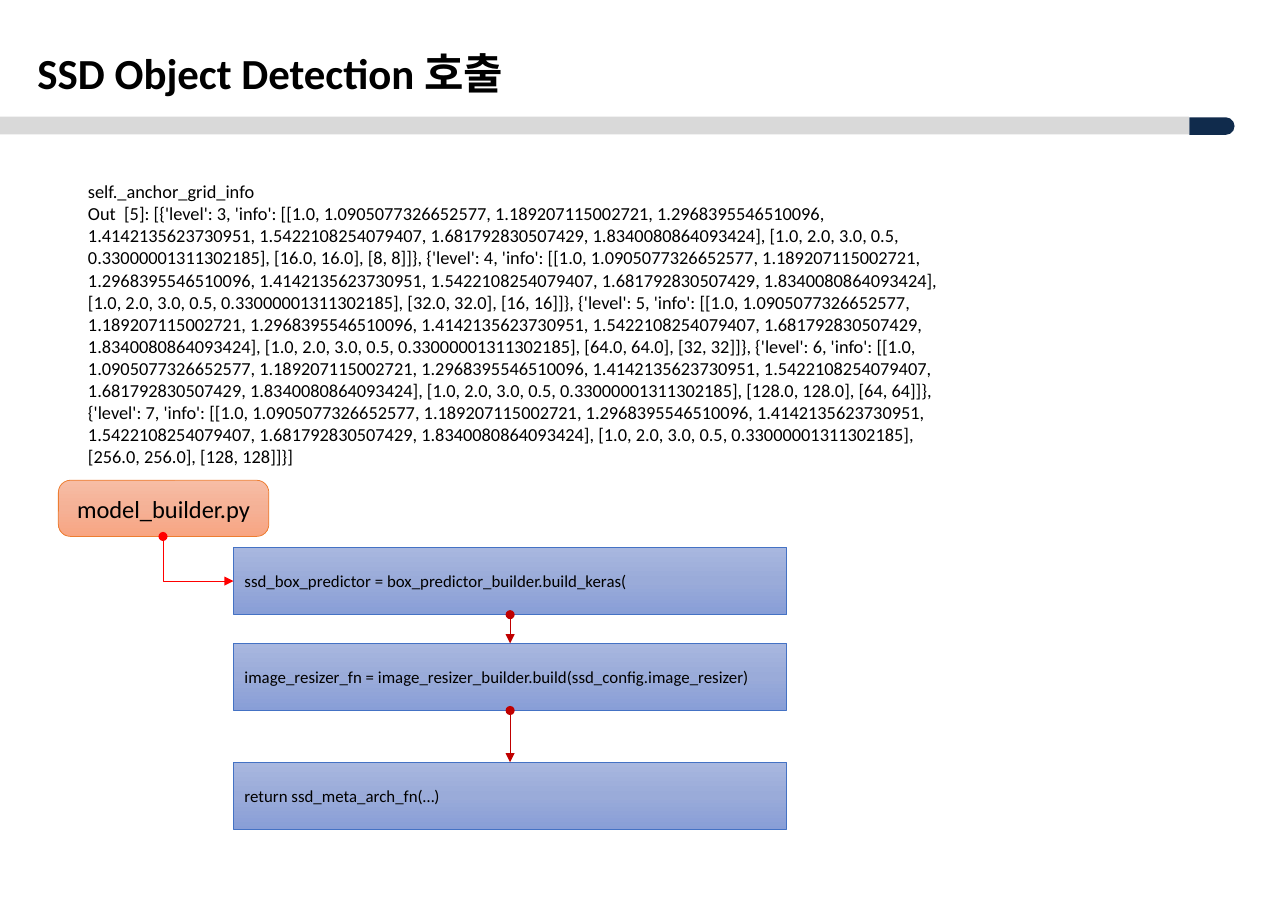
from copy import deepcopy
from dataclasses import dataclass
from itertools import pairwise

from pptx import Presentation
from pptx.dml.color import RGBColor
from pptx.enum.shapes import MSO_CONNECTOR as Connector, MSO_SHAPE as Shape
from pptx.enum.text import MSO_ANCHOR as Anchor, MSO_AUTO_SIZE as AutoSize, PP_ALIGN as Align
from pptx.oxml.ns import qn
from pptx.util import Inches, Pt


@dataclass(frozen=True)
class Theme:
    font: str = "Calibri"
    text: str = "000000"
    bar: str = "D9D9D9"
    bar_end: str = "102B4C"
    file_fill: tuple = ("F7BDA5", "F5B196", "F8A582")
    file_line: str = "ED7D31"
    step_fill: tuple = ("A8B7DF", "9AABD9", "889ED7")
    step_line: str = "4472C4"
    entry_arrow: str = "FF0000"
    step_arrow: str = "C00000"
    line_width: float = 0.5
    title_size: int = 28
    file_size: int = 16
    output_size: int = 12
    step_size: int = 11


def color(value):
    return RGBColor.from_string(value)


def format_text(frame, text, *, size, font, fill, bold=False, align=Align.LEFT,
                anchor=Anchor.TOP, wrap=True, auto_size=AutoSize.NONE):
    """Fill a text frame, one paragraph per line of text."""
    frame.text = text
    frame.word_wrap = wrap
    frame.auto_size = auto_size
    frame.vertical_anchor = anchor
    for paragraph in frame.paragraphs:
        paragraph.alignment = align
        paragraph.font.size = Pt(size)
        paragraph.font.name = font
        paragraph.font.bold = bold
        paragraph.font.color.rgb = color(fill)


class SlideBuilder:
    def __init__(self, slide, theme):
        self.slide = slide
        self.theme = theme

    def set_text(self, shape, text, size, **options):
        format_text(shape.text_frame, text, size=size, font=self.theme.font,
                    fill=self.theme.text, **options)

    def title(self, text, left, top, width, height):
        title = self.slide.shapes.title
        title.left, title.top = Inches(left), Inches(top)
        title.width, title.height = Inches(width), Inches(height)
        self.set_text(title, text, self.theme.title_size, bold=True, wrap=False,
                      auto_size=AutoSize.SHAPE_TO_FIT_TEXT)

    def text_box(self, text, left, top, width, height):
        box = self.slide.shapes.add_textbox(
            Inches(left), Inches(top), Inches(width), Inches(height))
        self.set_text(box, text, self.theme.output_size,
                      auto_size=AutoSize.SHAPE_TO_FIT_TEXT)

    def shape(self, kind, left, top, width, height):
        shape = self.slide.shapes.add_shape(
            kind, Inches(left), Inches(top), Inches(width), Inches(height))
        shape.shadow.inherit = False
        return shape

    def bar(self, kind, fill, left, top, width, height):
        bar = self.shape(kind, left, top, width, height)
        bar.fill.solid()
        bar.fill.fore_color.rgb = color(fill)
        bar.line.fill.background()
        return bar

    def box(self, kind, text, fills, line, size, left, top, width, height, align=Align.LEFT):
        box = self.shape(kind, left, top, width, height)
        box.fill.gradient()
        box.fill.gradient_angle = 270
        stops = box.element.spPr.find(qn("a:gradFill")).find(qn("a:gsLst"))
        stops.insert(1, deepcopy(stops[0]))
        for index, (stop, fill) in enumerate(zip(box.fill.gradient_stops, fills)):
            stop.position = index / 2
            stop.color.rgb = color(fill)
        box.line.color.rgb = color(line)
        box.line.width = Pt(self.theme.line_width)
        self.set_text(box, text, size, align=align, anchor=Anchor.MIDDLE)
        return box

    def connector(self, kind, line, left, top, right, bottom):
        connector = self.slide.shapes.add_connector(
            kind, Inches(left), Inches(top), Inches(right), Inches(bottom))
        connector.line.color.rgb = color(line)
        connector.line.width = Pt(self.theme.line_width)
        properties = connector.element.spPr
        outline = properties.find(qn("a:ln"))
        for end, style in (("a:headEnd", "oval"), ("a:tailEnd", "triangle")):
            outline.append(outline.makeelement(qn(end), {"type": style}))
        properties.append(properties.makeelement(qn("a:effectLst"), {}))
        return connector

    def down_arrow(self, upper, lower):
        arrow = self.connector(Connector.STRAIGHT, self.theme.step_arrow, 0, 0, 0, 0)
        arrow.begin_connect(upper, 2)
        arrow.end_connect(lower, 0)

    def corner_arrow(self, left, top, right, bottom):
        """Go down, then right: a one-bend connector turned by 270 degrees."""
        center_x, center_y = (left + right) / 2, (top + bottom) / 2
        half_width, half_height = (bottom - top) / 2, (right - left) / 2
        arrow = self.connector(
            Connector.ELBOW, self.theme.entry_arrow,
            center_x - half_width, center_y - half_height,
            center_x + half_width, center_y + half_height)
        properties = arrow.element.spPr
        properties.find(qn("a:prstGeom")).set("prst", "bentConnector2")
        transform = properties.find(qn("a:xfrm"))
        transform.set("rot", "16200000")
        transform.set("flipH", "1")


def anchor_grid_text():
    scales = [1.0, 1.0905077326652577, 1.189207115002721, 1.2968395546510096,
              1.4142135623730951, 1.5422108254079407, 1.681792830507429, 1.8340080864093424]
    ratios = [1.0, 2.0, 3.0, 0.5, 0.33000001311302185]
    grid = [{"level": level,
             "info": [scales, ratios, [2.0 ** (level + 1)] * 2, [2 ** level] * 2]}
            for level in range(3, 8)]
    return f"self._anchor_grid_info\nOut  [5]: {grid}"


def main():
    presentation = Presentation()
    presentation.slide_width, presentation.slide_height = Inches(11.69), Inches(8.27)
    theme = Theme()
    slide = presentation.slides.add_slide(presentation.slide_layouts[5])
    builder = SlideBuilder(slide, theme)

    # Header
    builder.bar(Shape.RECTANGLE, theme.bar, 0, 1.06, 10.79, 0.16)
    bar_end = builder.bar(Shape.ROUND_2_SAME_RECTANGLE, theme.bar_end, 10.92, 0.94, 0.16, 0.41)
    bar_end.rotation = 90
    bar_end.adjustments[0] = 0.5
    builder.title("SSD Object Detection 호출", 0.24, 0.37, 4.54, 0.57)

    # Console output
    builder.text_box(anchor_grid_text(), 0.7, 1.59, 8.15, 2.73)

    # Source file
    source_file = builder.box(
        Shape.ROUNDED_RECTANGLE, "model_builder.py", theme.file_fill, theme.file_line,
        theme.file_size, 0.53, 4.36, 1.91, 0.51, Align.CENTER)
    source_file.adjustments[0] = 0.216

    # Build steps
    step_left, step_height = 2.12, 0.61
    calls = (
        (4.97, "ssd_box_predictor = box_predictor_builder.build_keras("),
        (5.84, "image_resizer_fn = image_resizer_builder.build(ssd_config.image_resizer)"),
        (6.92, "return ssd_meta_arch_fn(…)"),
    )
    steps = [builder.box(Shape.RECTANGLE, call, theme.step_fill, theme.step_line,
                         theme.step_size, step_left, top, 5.02, step_height)
             for top, call in calls]

    # Arrows
    builder.corner_arrow(1.48, 4.87, step_left, calls[0][0] + step_height / 2)
    for upper, lower in pairwise(steps):
        builder.down_arrow(upper, lower)

    presentation.save("out.pptx")


if __name__ == "__main__":
    main()
